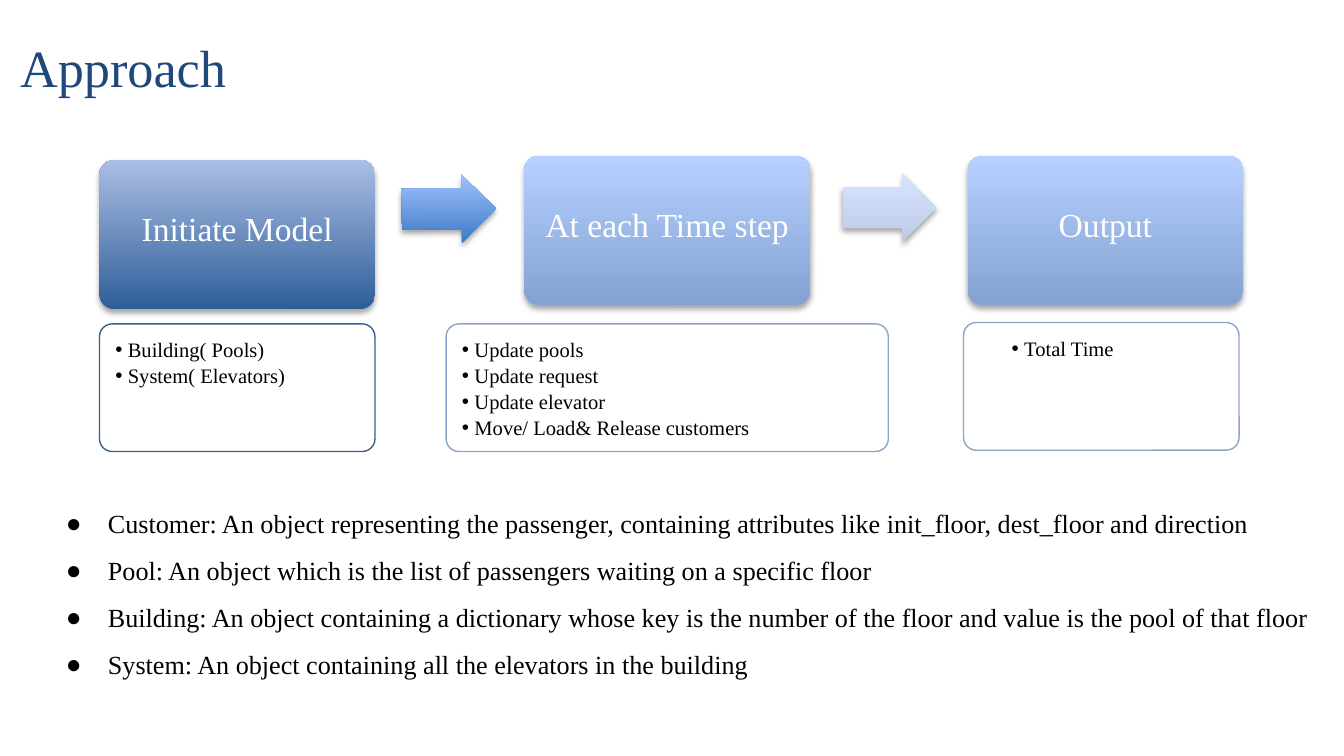
from lxml import etree
from pptx import Presentation
from pptx import util as u
from pptx.dml.color import RGBColor
from pptx.enum import shapes, text
from pptx.oxml import ns

Pt = u.Pt
FONT = "Times New Roman"
COLORS = {
    "title": "1F497D", "text": "000000", "white": "FFFFFF",
    "navy_low": "2E5E98", "navy_high": "ABBEE5", "navy_line": "3A5F8C",
    "pale_low": "83A2D2", "pale_high": "B7D0FF", "pale_line": "8CA4C9",
    "arrow1_low": "3C7AC4", "arrow1_high": "A0C1FF",
    "arrow2_low": "BECCE6", "arrow2_high": "D5E3FF",
}

# heading, heading box, detail box, palette, bullet offset, details
STAGES = [
    ("Initiate Model", (53.3, 85.7, 147.6, 80), (53.3, 173.5, 147.6, 68.4),
     "navy", 0, ["Building( Pools)", "System( Elevators)"]),
    ("At each Time step", (280.8, 83.5, 153.4, 80), (239, 173.5, 236.9, 68.4),
     "pale", 0, ["Update pools", "Update request", "Update elevator",
                 "Move/ Load& Release customers"]),
    ("Output", (518.4, 83.5, 147.6, 80), (516.2, 172.8, 147.6, 68.4),
     "pale", 17.3, ["Total Time"]),
]
ARROWS = [((215.3, 93.6, 50.4, 36.7), "arrow1", 359.5),
          ((451.4, 92.9, 50.4, 36.7), "arrow2", 0)]
DEFINITIONS = [
    "Customer: An object representing the passenger, containing attributes "
    "like init_floor, dest_floor and direction",
    "Pool: An object which is the list of passengers waiting on a specific floor",
    "Building: An object containing a dictionary whose key is the number of "
    "the floor and value is the pool of that floor",
    "System: An object containing all the elevators in the building",
]


def rgb(name):
    return RGBColor.from_string(COLORS[name])


def place(sp, box):
    sp.left, sp.top, sp.width, sp.height = (Pt(v) for v in box)


def set_frame(sp, anchor, insets):
    tf = sp.text_frame
    tf.word_wrap = True
    tf.auto_size = text.MSO_AUTO_SIZE.NONE
    tf.vertical_anchor = anchor
    tf.margin_left, tf.margin_top, tf.margin_right, tf.margin_bottom = (
        Pt(v) for v in insets)
    return tf


def write(tf, lines, size, color, align=text.PP_ALIGN.LEFT, spacing=1.0, after=0):
    tf.text = "\n".join(lines)
    for p in tf.paragraphs:
        p.alignment = align
        p.line_spacing = spacing
        p.space_before, p.space_after = Pt(0), Pt(after)
        for r in p.runs:
            r.font.name, r.font.size = FONT, Pt(size)
            r.font.color.rgb = rgb(color)


def add_bullets(tf, char, margin, hanging):
    for p in tf.paragraphs:
        pPr = p._p.get_or_add_pPr()
        pPr.set("marL", str(Pt(margin)))
        pPr.set("indent", str(-Pt(hanging)))
        etree.SubElement(pPr, ns.qn("a:buFont")).set("typeface", "Arial")
        etree.SubElement(pPr, ns.qn("a:buChar")).set("char", char)


def add_shadow(sp):
    sp.shadow.inherit = False
    effects = sp._element.spPr.find(ns.qn("a:effectLst"))
    shadow = etree.SubElement(
        effects, ns.qn("a:outerShdw"), blurRad=str(Pt(3.1)), dist=str(Pt(1.8)),
        dir="5400000", rotWithShape="0")
    color = etree.SubElement(shadow, ns.qn("a:srgbClr"), val="000000")
    etree.SubElement(color, ns.qn("a:alpha"), val="35000")


def add_gradient_shape(s, kind, box, palette):
    sp = s.shapes.add_shape(kind, *(Pt(v) for v in box))
    sp.fill.gradient()
    sp.fill.gradient_angle = 90
    for stop, end, pos in zip(sp.fill.gradient_stops, ("low", "high"), (0, 1)):
        stop.color.rgb = rgb(f"{palette}_{end}")
        stop.position = pos
    sp.line.fill.background()
    add_shadow(sp)
    return sp


def add_stage(s, heading, head_box, detail_box, palette, offset, details):
    rounded = shapes.MSO_SHAPE.ROUNDED_RECTANGLE
    # Heading
    sp = add_gradient_shape(s, rounded, head_box, palette)
    sp.adjustments[0] = 0.1
    tf = set_frame(sp, text.MSO_ANCHOR.BOTTOM, (6, 8, 6, 30))
    write(tf, [heading], 18, "white", text.PP_ALIGN.CENTER, 0.9)
    # Details
    sp = s.shapes.add_shape(rounded, *(Pt(v) for v in detail_box))
    sp.adjustments[0] = 0.1
    sp.shadow.inherit = False
    sp.fill.solid()
    sp.fill.fore_color.rgb = rgb("white")
    sp.line.color.rgb = rgb(f"{palette}_line")
    sp.line.width = Pt(0.75)
    tf = set_frame(sp, text.MSO_ANCHOR.TOP, (6.5,) * 4)
    write(tf, details, 11, "text", spacing=0.9, after=2)
    add_bullets(tf, "•", offset + 6.7, 6.7)


def add_arrow(s, box, palette, rotation):
    sp = add_gradient_shape(s, shapes.MSO_SHAPE.RIGHT_ARROW, box, palette)
    sp.adjustments[0], sp.adjustments[1] = 0.6, 0.5
    sp.rotation = rotation


def main():
    prs = Presentation()
    prs.slide_width, prs.slide_height = Pt(720), Pt(405)
    s = prs.slides.add_slide(prs.slide_layouts[1])
    title, body = s.placeholders

    # Title
    place(title, (3.6, 14.4, 671, 45.4))
    tf = set_frame(title, text.MSO_ANCHOR.BOTTOM, (7.2,) * 4)
    write(tf, ["Approach"], 28, "title")

    # Process flow
    for stage in STAGES:
        add_stage(s, *stage)
    for arrow in ARROWS:
        add_arrow(s, *arrow)

    # Definitions
    place(body, (28.1, 259.9, 686.2, 108.7))
    tf = set_frame(body, text.MSO_ANCHOR.TOP, (7.2, 3.6, 7.2, 3.6))
    write(tf, DEFINITIONS, 14, "text", spacing=1.5)
    add_bullets(tf, "●", 22.5, 22.5)

    prs.save("out.pptx")


main()
